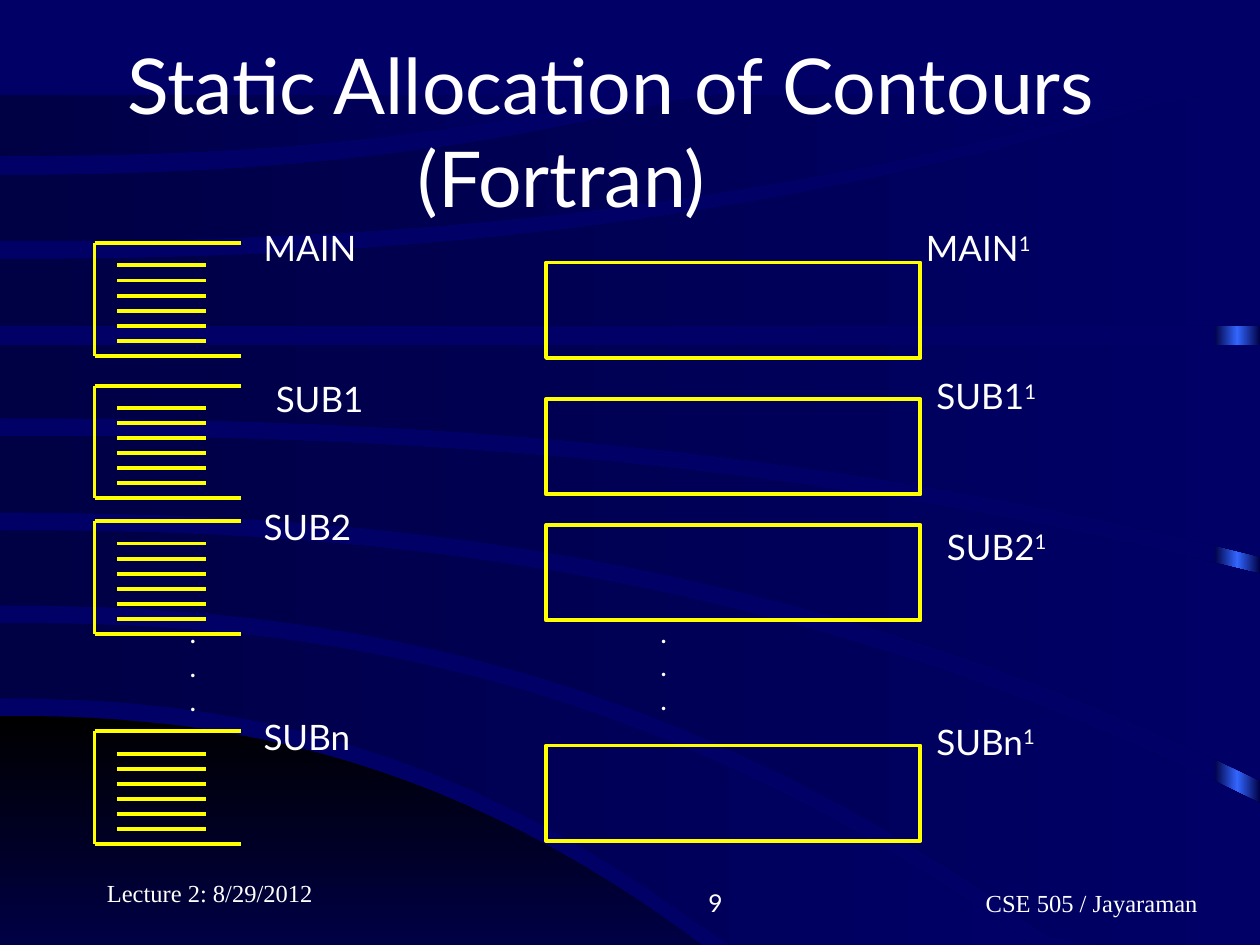
from collections import namedtuple
from copy import deepcopy

from pptx import Presentation
from pptx.dml.color import RGBColor
from pptx.enum.shapes import MSO_CONNECTOR, MSO_SHAPE
from pptx.enum.text import MSO_ANCHOR, PP_ALIGN
from pptx.oxml.ns import qn
from pptx.util import Pt

LINE, RECT = MSO_CONNECTOR.STRAIGHT, MSO_SHAPE.RECTANGLE
TOP, LOW = MSO_ANCHOR.TOP, MSO_ANCHOR.BOTTOM
LEFT, MID, RIGHT = PP_ALIGN.LEFT, PP_ALIGN.CENTER, PP_ALIGN.RIGHT

NAVY = RGBColor(0x00, 0x00, 0x66)
DARK = RGBColor(0x00, 0x00, 0x44)
BLUE = RGBColor(0x33, 0x66, 0xFF)
BLACK = RGBColor(0x00, 0x00, 0x00)
WHITE = RGBColor(0xFF, 0xFF, 0xFF)
YELLOW = RGBColor(0xFF, 0xFF, 0x00)

SANS, SERIF = "Lato", "Times New Roman"

# Background bands lie between HEAD and FOOT. Each edge starts at the left
# side at height start and has sunk by drop at the right side of the slide.
WIDE, HEAD, FOOT = 720, 54, 540
BEND, STEPS = 2.3, 24
Edge = namedtuple("Edge", "start drop")
ROOF, FLOOR = Edge(HEAD, 0), Edge(FOOT, 0)
HILL = (Edge(409, 505), FLOOR)
BANDS = [
    (Edge(356, 291), Edge(399, 501)),
    (Edge(303, 156), Edge(346, 288)),
    (Edge(249, 79), Edge(293, 153)),
    (Edge(197, 0), Edge(239, 79)),
    (Edge(148, -107), Edge(186, 0)),
    (Edge(100, -177), Edge(138, -102)),
    (ROOF, Edge(89, -171)),
]

# Code block with its label on the left, contour frame with its on the right
Unit = namedtuple("Unit", "name code label frame tag")
UNITS = [
    Unit("MAIN", 138.9, (143.5, 126), 150, (522, 126)),
    Unit("SUB1", 220.4, (150.5, 212), 228, (528, 210.5)),
    Unit("SUB2", 297.8, (143.5, 285.5), 300, (534, 296.5)),
    Unit("SUBn", 417.9, (143.5, 405.5), 426, (528, 408)),
]
ROWS, PITCH = 6, 8.6


def reach(edge):
    """Give the x at which an edge leaves the area of the bands."""
    if edge in (ROOF, FLOOR):
        return 0
    if edge.drop == 0:
        return WIDE
    limit = FOOT if edge.drop > 0 else HEAD
    return min(WIDE, WIDE * ((limit - edge.start) / edge.drop) ** (1 / BEND))


def trace(edge, width):
    """List the points of an edge from left to right, kept in the area."""
    points = []
    for step in range(STEPS + 1):
        x = width * step / STEPS
        y = edge.start + edge.drop * (x / WIDE) ** BEND
        points.append((Pt(x), Pt(min(max(y, HEAD), FOOT))))
    return points


def shade(shape, colors, angle=0):
    """Fill with evenly spaced gradient colours and no outline."""
    shape.shadow.inherit = False
    shape.line.fill.background()
    shape.fill.gradient()
    shape.fill.gradient_angle = angle
    stops = shape._element.spPr.find(".//" + qn("a:gsLst"))
    for _ in colors[2:]:
        stops.append(deepcopy(stops[-1]))
    for num, (stop, color) in enumerate(zip(shape.fill.gradient_stops, colors)):
        stop.color.rgb = color
        stop.position = num / (len(colors) - 1)


def add_band(slide, edges, colors, angle=0):
    """Draw the area between an upper and a lower edge."""
    upper, lower = edges
    width = max(reach(upper), reach(lower))
    points = trace(upper, width) + trace(lower, width)[::-1]
    pen = slide.shapes.build_freeform(*points[0])
    pen.add_line_segments(points[1:], close=True)
    shade(pen.convert_to_shape(), colors, angle)


def add_scene(slide):
    slide.background.fill.solid()
    slide.background.fill.fore_color.rgb = NAVY
    strip = slide.shapes.add_shape(RECT, Pt(694), Pt(55), Pt(26), Pt(485))
    shade(strip, [DARK, BLUE, DARK])
    add_band(slide, HILL, [BLACK, DARK], 270)
    for band in BANDS:
        add_band(slide, band, [DARK, NAVY])


def add_text(slide, box, lines, size, face=SANS, align=LEFT, anchor=TOP,
             power="", indent=0):
    """Add lines of text; power is raised, indent shifts later lines."""
    frame = slide.shapes.add_textbox(*map(Pt, box)).text_frame
    frame.word_wrap = True
    frame.vertical_anchor = anchor
    look = {"size": Pt(size), "name": face}
    for num, line in enumerate(lines):
        para = frame.paragraphs[0] if num == 0 else frame.add_paragraph()
        para.alignment = align
        if num and indent:
            para._p.get_or_add_pPr().set("marL", str(Pt(indent)))
        for part in filter(None, (line, power)):
            run = para.add_run()
            run.text = part
            run.font.color.rgb = WHITE
            for key, value in look.items():
                setattr(run.font, key, value)
    if power:
        run._r.get_or_add_rPr().set("baseline", "30000")
    return frame


def add_line(slide, *ends):
    line = slide.shapes.add_connector(LINE, *map(Pt, ends))
    line.line.color.rgb = YELLOW
    line.line.width = Pt(2.25)
    props = line._element.spPr
    props.append(props.makeelement(qn("a:effectLst"), {}))


def add_code(slide, top):
    """Draw an open bracket around rows of code."""
    left, right, base = 54, 137.5, top + 64.4
    add_line(slide, left, top, left, base)
    for y in (top, base):
        add_line(slide, left, y, right, y)
    for row in range(ROWS):
        y = top + 12.8 + PITCH * row
        add_line(slide, 67, y, 118, y)


def add_frame(slide, top):
    frame = slide.shapes.add_shape(RECT, Pt(312), Pt(top), Pt(214), Pt(54.5))
    frame.shadow.inherit = False
    frame.fill.background()
    frame.line.color.rgb = YELLOW
    frame.line.width = Pt(2.25)


def add_unit(slide, unit):
    """Draw one routine: its code and the contour set aside for it."""
    add_code(slide, unit.code)
    add_text(slide, (*unit.label, 137, 31.5), [unit.name], 20)
    add_frame(slide, unit.frame)
    add_text(slide, (*unit.tag, 115, 31.5), [unit.name], 20, power="1")


def add_footer(slide):
    add_text(slide, (54, 486, 150, 36), ["Lecture 2: 8/29/2012"], 14, SERIF,
             anchor=LOW)
    add_text(slide, (270, 492, 150, 36), ["9"], 14, align=RIGHT, anchor=LOW)
    course = add_text(slide, (474, 492, 228, 36), ["CSE 505 / Jayaraman"], 14,
                      SERIF, RIGHT, LOW)
    course.margin_right = Pt(17.5)


def main():
    deck = Presentation()
    deck.slide_width, deck.slide_height = Pt(WIDE), Pt(FOOT)
    slide = deck.slides.add_slide(deck.slide_layouts[6])
    add_scene(slide)
    add_text(slide, (65.5, 18, 599, 113),
             ["Static Allocation of Contours", "(Fortran)"], 44, indent=166)
    for unit in UNITS:
        add_unit(slide, unit)
    for dots in ((91.5, 348.5, 37.5, 67), (348, 348, 62.5, 70)):
        add_text(slide, dots, ["."] * 3, 16, align=MID)
    add_footer(slide)
    deck.save("out.pptx")


if __name__ == "__main__":
    main()
